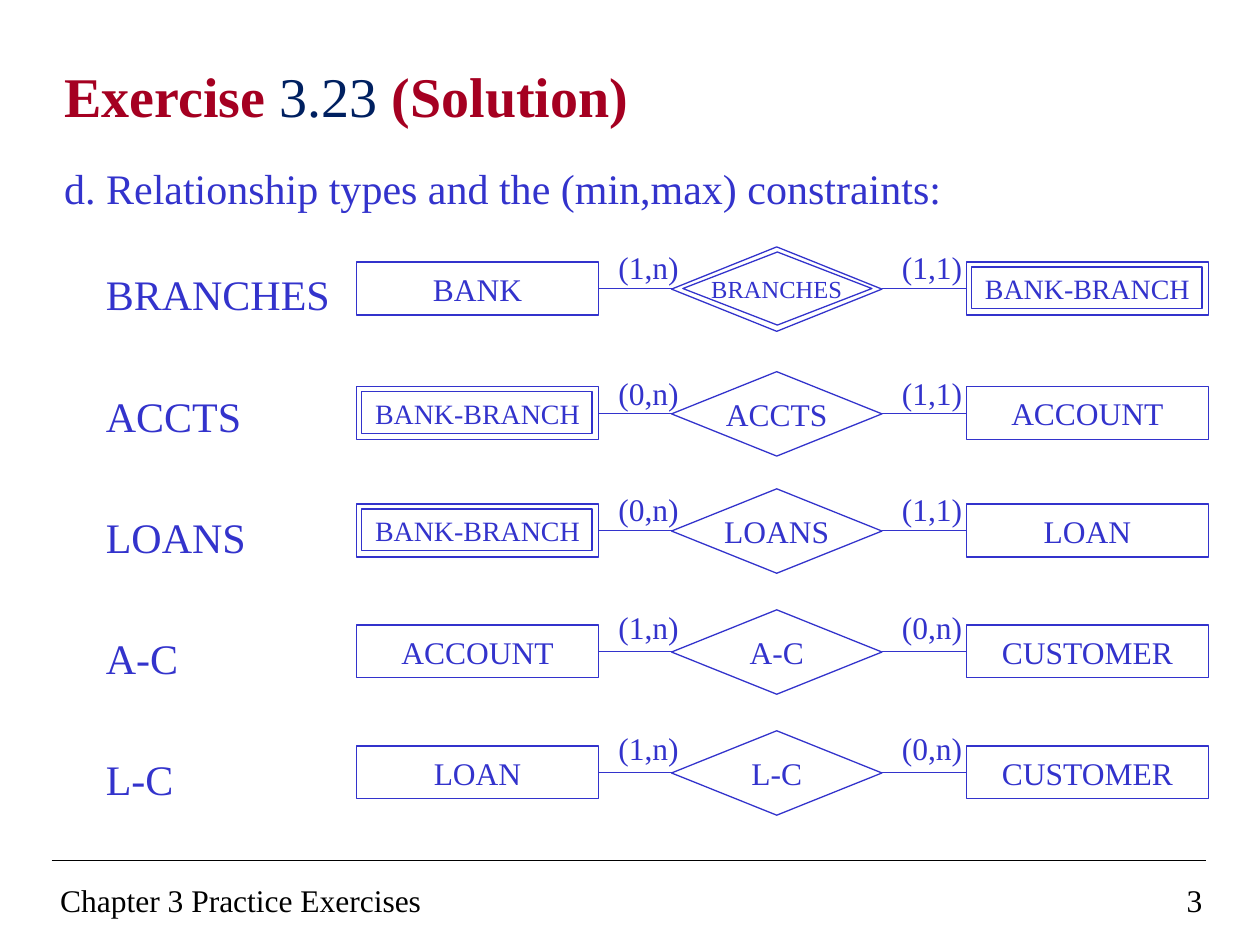
import pptx
import pptx.util
import pptx.dml.color
import pptx.enum.shapes
import pptx.enum.text
from lxml import etree

Inches = pptx.util.Inches
Pt = pptx.util.Pt
SHAPES = pptx.enum.shapes.MSO_SHAPE
ALIGN = pptx.enum.text.PP_ALIGN
ANCHOR = pptx.enum.text.MSO_ANCHOR
NO_FIT = pptx.enum.text.MSO_AUTO_SIZE.NONE
A = "{http://schemas.openxmlformats.org/drawingml/2006/main}"
FONT = "Times New Roman"
BLUE, RED, NAVY, BLACK = "3333CC", "A50021", "002060", "000000"


def style(font, size, colour, bold=False):
    font.name, font.size, font.bold = FONT, Pt(size), bold
    font.color.rgb = pptx.dml.color.RGBColor.from_string(colour)


def add(kind, left, top, width, height, text="", size=18, colour=BLUE):
    """Add a text box, a straight line or an outlined preset shape."""
    place = [Inches(value) for value in (left, top, width, height)]
    if kind == "line":
        x, y, dx, dy = place
        item = page.shapes.add_connector(
            pptx.enum.shapes.MSO_CONNECTOR.STRAIGHT, x, y, x + dx, y + dy)
        etree.SubElement(item._element.spPr, A + "effectLst")
    elif kind == "text":
        item = page.shapes.add_textbox(*place)
    else:
        item = page.shapes.add_shape(kind, *place)
        item.shadow.inherit = False
        item.fill.background()
    if kind != "text":
        item.line.color.rgb = pptx.dml.color.RGBColor.from_string(colour)
        item.line.width = Pt(0.75)
    if text:
        item.text_frame.word_wrap = kind == "text"
        para = item.text_frame.paragraphs[0]
        para.text = text
        style(para.font, size, colour)


deck = pptx.Presentation()
deck.slide_width, deck.slide_height = Inches(10), Inches(7.5)
page = deck.slides.add_slide(deck.slide_layouts[1])
title, body = page.shapes.title, page.placeholders[1]

for holder, top, height in ((title, 0.44, 0.7), (body, 1.24, 5.35)):
    holder.left, holder.top = Inches(0.41), Inches(top)
    holder.width, holder.height = Inches(9.18), Inches(height)
    holder.text_frame.auto_size = NO_FIT
    holder.text_frame.vertical_anchor = ANCHOR.TOP

para = title.text_frame.paragraphs[0]
para.alignment = ALIGN.LEFT
for text, colour, bold in (("Exercise ", RED, True), ("3.23", NAVY, False),
                           (" (Solution)", RED, True)):
    span = para.add_run()
    span.text = text
    style(span.font, 32, colour, bold)

# Relationship, left entity, left limits, right limits, right entity, middle, label top
rows = [
    ("BRANCHES", "BANK", "(1,n)", "(1,1)", "BANK-BRANCH", 2.29, 1.92),
    ("ACCTS", "BANK-BRANCH", "(0,n)", "(1,1)", "ACCOUNT", 3.28, 2.92),
    ("LOANS", "BANK-BRANCH", "(0,n)", "(1,1)", "LOAN", 4.21, 3.84),
    ("A-C", "ACCOUNT", "(1,n)", "(0,n)", "CUSTOMER", 5.17, 4.78),
    ("L-C", "LOAN", "(1,n)", "(0,n)", "CUSTOMER", 6.13, 5.74),
]

lines = ["d. Relationship types and the (min,max) constraints:"] + [row[0] for row in rows]
for index, text in enumerate(lines):
    para = body.text_frame.paragraphs[0] if index == 0 else body.text_frame.add_paragraph()
    para.text = text
    properties = para._p.get_or_add_pPr()
    properties.set("marL", str(Inches(0.33 if index else 0)))
    properties.set("indent", "0")
    etree.SubElement(properties, A + "buNone")
    para.space_before = Pt((0, 32)[index] if index < 2 else 40.4)
    style(para.font, 24, BLUE)

for relation, left_entity, left_limits, right_limits, right_entity, middle, label_top in rows:
    for left, entity in ((2.83, left_entity), (7.67, right_entity)):
        weak = entity == "BANK-BRANCH"
        add(SHAPES.RECTANGLE, left, middle - 0.21, 1.92, 0.42, entity, 16 if weak else 18)
        if weak:
            add(SHAPES.RECTANGLE, left + 0.04, middle - 0.17, 1.83, 0.33)
    identifying = relation == "BRANCHES"
    add(SHAPES.DIAMOND, 5.33, middle - 0.33, 1.67, 0.67, relation, 14 if identifying else 18)
    if identifying:
        add(SHAPES.DIAMOND, 5.42, middle - 0.29, 1.5, 0.58)
    add("line", 4.75, middle, 0.58, 0)
    add("line", 7, middle, 0.67, 0)
    add("text", 4.81, label_top, 0.75, 0.4, left_limits)
    add("text", 7.06, label_top, 0.75, 0.4, right_limits)

add("line", 0.41, 6.83, 9.16, 0, colour=BLACK)
add("text", 0.38, 6.94, 3.4, 0.4, "Chapter 3 Practice Exercises", colour=BLACK)
add("text", 9.32, 6.94, 0.35, 0.4, "3", colour=BLACK)

deck.save("out.pptx")
